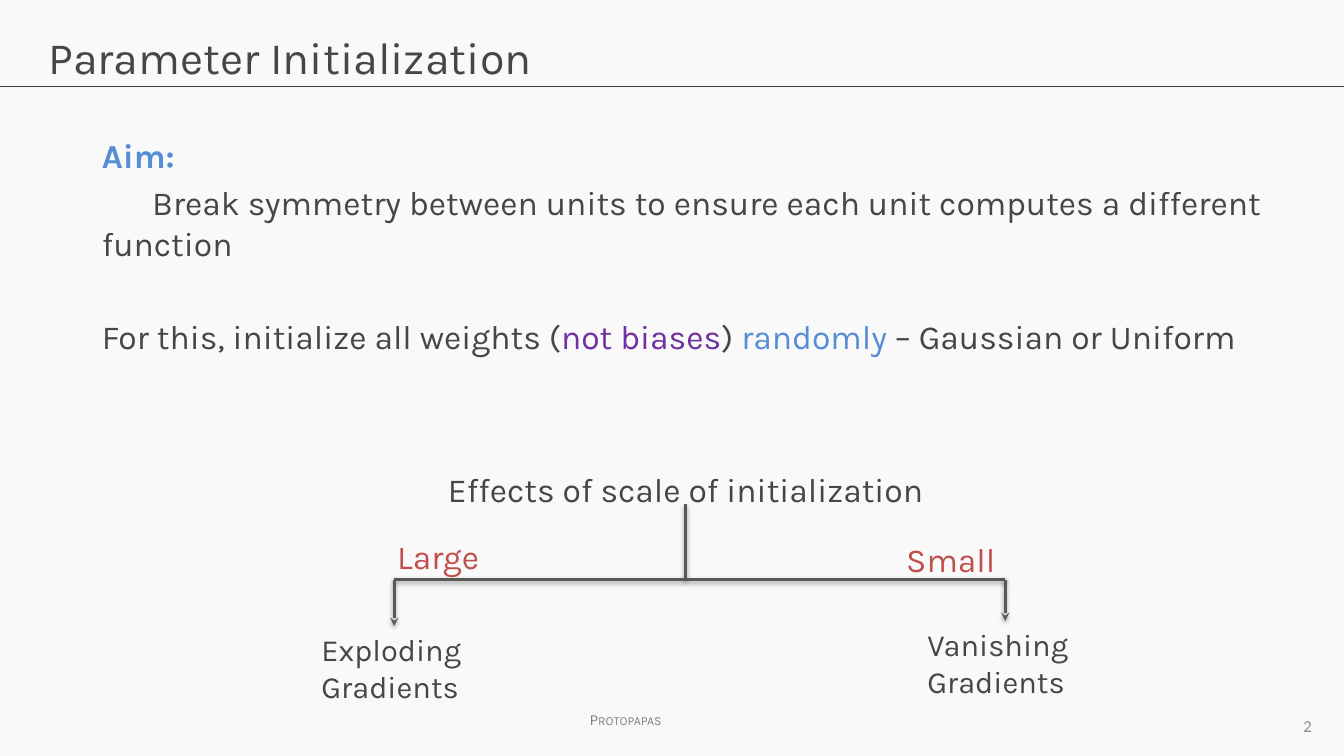
"""Build the Parameter Initialization slide."""
from lxml.etree import SubElement
from pptx import Presentation
from pptx.dml.color import RGBColor
from pptx.enum.shapes import MSO_CONNECTOR
from pptx.enum.text import MSO_ANCHOR, MSO_AUTO_SIZE, PP_ALIGN
from pptx.oxml.ns import qn
from pptx.util import Inches, Pt

COLORS = {
    "background": "F9F9F9", "text": "464646", "blue": "558ED5",
    "purple": "7030A0", "red": "C0504D", "branch": "595959",
    "rule": "404040", "author": "808080", "number": "8C8C8C",
}


def add_label(text, box, size, color, align=PP_ALIGN.LEFT, font="Karla", before=0.2):
    label = slide.shapes.add_textbox(*map(Inches, box))
    label.text_frame.word_wrap = True
    paragraph = label.text_frame.paragraphs[0]
    paragraph.text = text
    paragraph.alignment = align
    paragraph.space_before = Pt(size * before)
    paragraph.font.name = font
    paragraph.font.size = Pt(size)
    paragraph.font.color.rgb = RGBColor.from_string(COLORS[color])
    return label


def add_line(start, end, color, width):
    line = slide.shapes.add_connector(MSO_CONNECTOR.STRAIGHT, *map(Inches, start + end))
    line.line.color.rgb = RGBColor.from_string(COLORS[color])
    line.line.width = Pt(width)
    effects = SubElement(line._element.spPr, qn("a:effectLst"))
    return line, effects


presentation = Presentation()
presentation.slide_width = Inches(13.33)
presentation.slide_height = Inches(7.5)
slide = presentation.slides.add_slide(presentation.slide_layouts[1])
slide.background.fill.solid()
slide.background.fill.fore_color.rgb = RGBColor.from_string(COLORS["background"])

add_line((0, 0.86), (13.33, 0.86), "rule", 0.75)
author = add_label("Protopapas", (5.75, 7, 0.93, 0.29), 11, "author", before=0)
author.text_frame.word_wrap = False
author.text_frame.paragraphs[0].runs[0].font._element.set("cap", "small")
page_number = add_label("2", (10, 7, 3.11, 0.4), 12, "number", PP_ALIGN.RIGHT, "Calibri", 0)
page_number.text_frame.vertical_anchor = MSO_ANCHOR.MIDDLE

title = slide.shapes.title
title.left, title.top, title.width, title.height = map(Inches, (0.38, 0.24, 12.57, 0.84))
title.text_frame.text = "Parameter Initialization"
title.text_frame.vertical_anchor = MSO_ANCHOR.TOP
heading = title.text_frame.paragraphs[0]
heading.alignment = PP_ALIGN.LEFT
heading.font.name = "Karla"
heading.font.size = Pt(32)
heading.font.color.rgb = RGBColor.from_string(COLORS["text"])

aim = slide.placeholders[1]
aim.left, aim.top, aim.width, aim.height = map(Inches, (0.91, 1.29, 11.78, 2.31))
aim.text_frame.auto_size = MSO_AUTO_SIZE.NONE
aim_paragraphs = [
    (0, 4.8, [("Aim:", "blue")]),
    (0.5, 4.8, [("Break symmetry between units to ensure each unit computes "
                 "a different function", "text")]),
    (0, 38, [("For this, initialize all weights (", "text"), ("not biases", "purple"),
             (") ", "text"), ("randomly", "blue"), (" – Gaussian or Uniform", "text")]),
]
for index, (indent, before, pieces) in enumerate(aim_paragraphs):
    paragraph = aim.text_frame.paragraphs[0] if index == 0 else aim.text_frame.add_paragraph()
    paragraph.space_before = Pt(before)
    paragraph.font.name = "Karla"
    paragraph.font.size = Pt(24)
    paragraph.font.bold = index == 0
    properties = paragraph._p.get_or_add_pPr()
    properties.set("marL", "0")
    properties.set("indent", str(Inches(indent)))
    properties.insert_element_before(properties.makeelement(qn("a:buNone")), "a:defRPr")
    for text, color in pieces:
        run = paragraph.add_run()
        run.text = text
        run.font.color.rgb = RGBColor.from_string(COLORS[color])

add_label("Effects of scale of initialization", (0.91, 4.6, 11.78, 2.31), 24, "text",
          PP_ALIGN.CENTER)
add_label("Large", (3.84, 5.27, 2.53, 0.84), 24, "red")
add_label("Small", (8.89, 5.3, 2.53, 0.84), 24, "red")
exploding = add_label("Exploding Gradients", (3.09, 6.21, 1.64, 0.84), 22, "text")
vanishing = add_label("Vanishing Gradients", (9.1, 6.16, 1.74, 0.84), 22, "text")

branches = [
    ((6.8, 5), (6.8, 5.75), None),
    ((9.97, 5.75), (3.91, 5.75), None),
    ((3.91, 5.75), (3.91, 6.21), exploding),
    ((9.97, 5.75), (9.97, 6.16), vanishing),
]
for start, end, outcome in branches:
    branch, effects = add_line(start, end, "branch", 2)
    shadow = SubElement(effects, qn("a:outerShdw"), blurRad="40000", dist="20000",
                        dir="5400000", rotWithShape="0")
    shade = SubElement(shadow, qn("a:srgbClr"), val="000000")
    SubElement(shade, qn("a:alpha"), val="38000")
    if outcome is not None:
        branch.end_connect(outcome, 0)
        SubElement(branch.line._get_or_add_ln(), qn("a:tailEnd"), type="stealth")

presentation.save("out.pptx")
